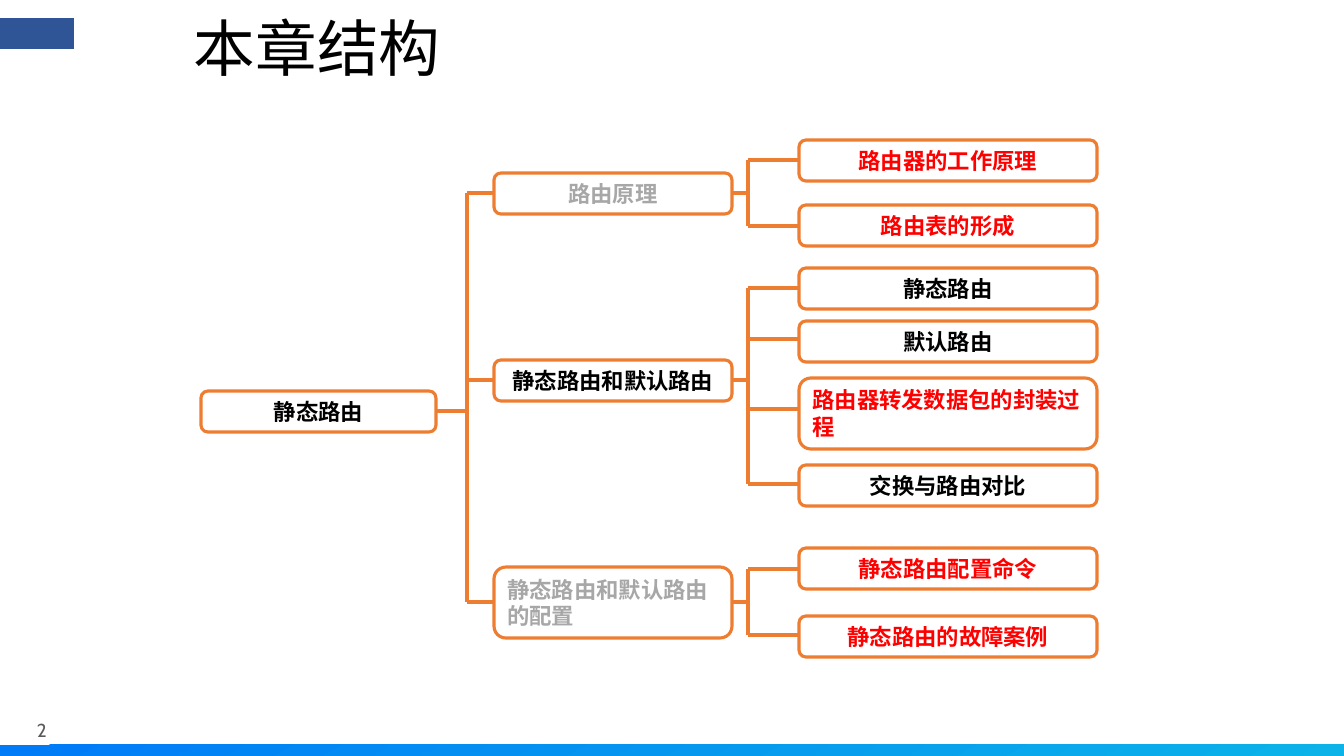
"""Builds the chapter structure slide: a tree of topics and subtopics."""
from lxml import etree
from pptx import Presentation, util as u
from pptx.dml.color import RGBColor
from pptx.enum import shapes, text
from pptx.oxml.ns import qn

BLACK, GREY, RED = "000000", "A7A7A7", "FF0000"
WHITE, ORANGE, NAVY = "FFFFFF", "ED7D31", "2F5597"
LOW, TALL = 41, 71

TITLE, PAGE = "本章结构", "2"
# Each node: label, colour, top, height, y of its branch line
CHAPTER = ("静态路由", BLACK, 391, LOW, 411)
TOPICS = [
    (("路由原理", GREY, 173, LOW, 193), [
        ("路由器的工作原理", RED, 140, LOW, 160),
        ("路由表的形成", RED, 205, LOW, 226),
    ]),
    (("静态路由和默认路由", BLACK, 360, LOW, 380), [
        ("静态路由", BLACK, 268, LOW, 288),
        ("默认路由", BLACK, 321, LOW, 339),
        ("路由器转发数据包的封装过程", RED, 378, TALL, 409),
        ("交换与路由对比", BLACK, 465, LOW, 484),
    ]),
    (("静态路由和默认路由的配置", GREY, 567, TALL, 602), [
        ("静态路由配置命令", RED, 548, LOW, 569),
        ("静态路由的故障案例", RED, 616, LOW, 635),
    ]),
]
CHAPTER_COLUMN, TOPIC_COLUMN, LEAF_COLUMN = (201, 235), (494, 238), (799, 298)
TRUNK, FORK = 467, 748

PX = 914400 / 100.8


def px(*lengths):
    return [u.Emu(round(n * PX)) for n in lengths]


def rgb(value):
    return RGBColor.from_string(value)


def style(paragraph, font, size, colour, bold=False):
    paragraph.font.name = font
    paragraph.font.size = u.Pt(size)
    paragraph.font.bold = bold
    paragraph.font.color.rgb = rgb(colour)


def bar(slide, *area):
    band = slide.shapes.add_shape(shapes.MSO_SHAPE.RECTANGLE, *px(*area))
    band.shadow.inherit = False
    band.line.fill.background()
    return band.fill


def label(slide, words, area, font, size, colour):
    frame = slide.shapes.add_textbox(*px(*area)).text_frame
    frame.word_wrap = True
    frame.vertical_anchor = text.MSO_ANCHOR.MIDDLE
    frame.margin_left = frame.margin_top = frame.margin_right = frame.margin_bottom = 0
    paragraph = frame.paragraphs[0]
    paragraph.text = words
    style(paragraph, font, size, colour)
    return paragraph


def branch(slide, *ends):
    line = slide.shapes.add_connector(shapes.MSO_CONNECTOR.STRAIGHT, *px(*ends))
    line.line.color.rgb = rgb(ORANGE)
    line.line.width = u.Pt(2.25)
    etree.SubElement(line._element.spPr, qn("a:effectLst"))


def node(slide, column, content):
    words, colour, top, height, _ = content
    left, width = column
    box = slide.shapes.add_shape(
        shapes.MSO_SHAPE.ROUNDED_RECTANGLE, *px(left, top, width, height))
    box.shadow.inherit = False
    box.fill.solid()
    box.fill.fore_color.rgb = rgb(WHITE)
    box.line.color.rgb = rgb(ORANGE)
    box.line.width = u.Pt(2.25)
    frame = box.text_frame
    frame.word_wrap = True
    frame.auto_size = text.MSO_AUTO_SIZE.SHAPE_TO_FIT_TEXT
    frame.vertical_anchor = text.MSO_ANCHOR.MIDDLE
    paragraph = frame.paragraphs[0]
    paragraph.text = words
    paragraph.alignment = text.PP_ALIGN.LEFT if height == TALL else text.PP_ALIGN.CENTER
    style(paragraph, "Arial", 16, colour, bold=True)


def fork(slide, x, joints):
    branch(slide, x, min(joints), x, max(joints))


def main():
    deck = Presentation()
    deck.slide_width, deck.slide_height = px(1344, 756)
    slide = deck.slides.add_slide(deck.slide_layouts[6])

    footer = bar(slide, 0, 745, 1344, 13)
    footer.gradient()
    footer.gradient_angle = 300
    for stop, colour in zip(footer.gradient_stops, ("007BF7", "0BB3E8")):
        stop.color.rgb = rgb(colour)
    tab = bar(slide, 0, 18, 74, 31)
    tab.solid()
    tab.fore_color.rgb = rgb(NAVY)
    label(slide, PAGE, (37, 719, 75, 22), "Cabin", 13.4, "5A5A5A")
    label(slide, TITLE, (194, 16, 966, 71), "Arial", 44, BLACK).line_spacing = 0.9

    branch(slide, sum(CHAPTER_COLUMN), CHAPTER[-1], TRUNK, CHAPTER[-1])
    fork(slide, TRUNK, [topic[-1] for topic, _ in TOPICS])
    node(slide, CHAPTER_COLUMN, CHAPTER)
    for topic, leaves in TOPICS:
        branch(slide, TRUNK, topic[-1], FORK, topic[-1])
        fork(slide, FORK, [leaf[-1] for leaf in leaves])
        node(slide, TOPIC_COLUMN, topic)
        for leaf in leaves:
            branch(slide, FORK, leaf[-1], LEAF_COLUMN[0], leaf[-1])
            node(slide, LEAF_COLUMN, leaf)

    deck.save("out.pptx")


if __name__ == "__main__":
    main()
